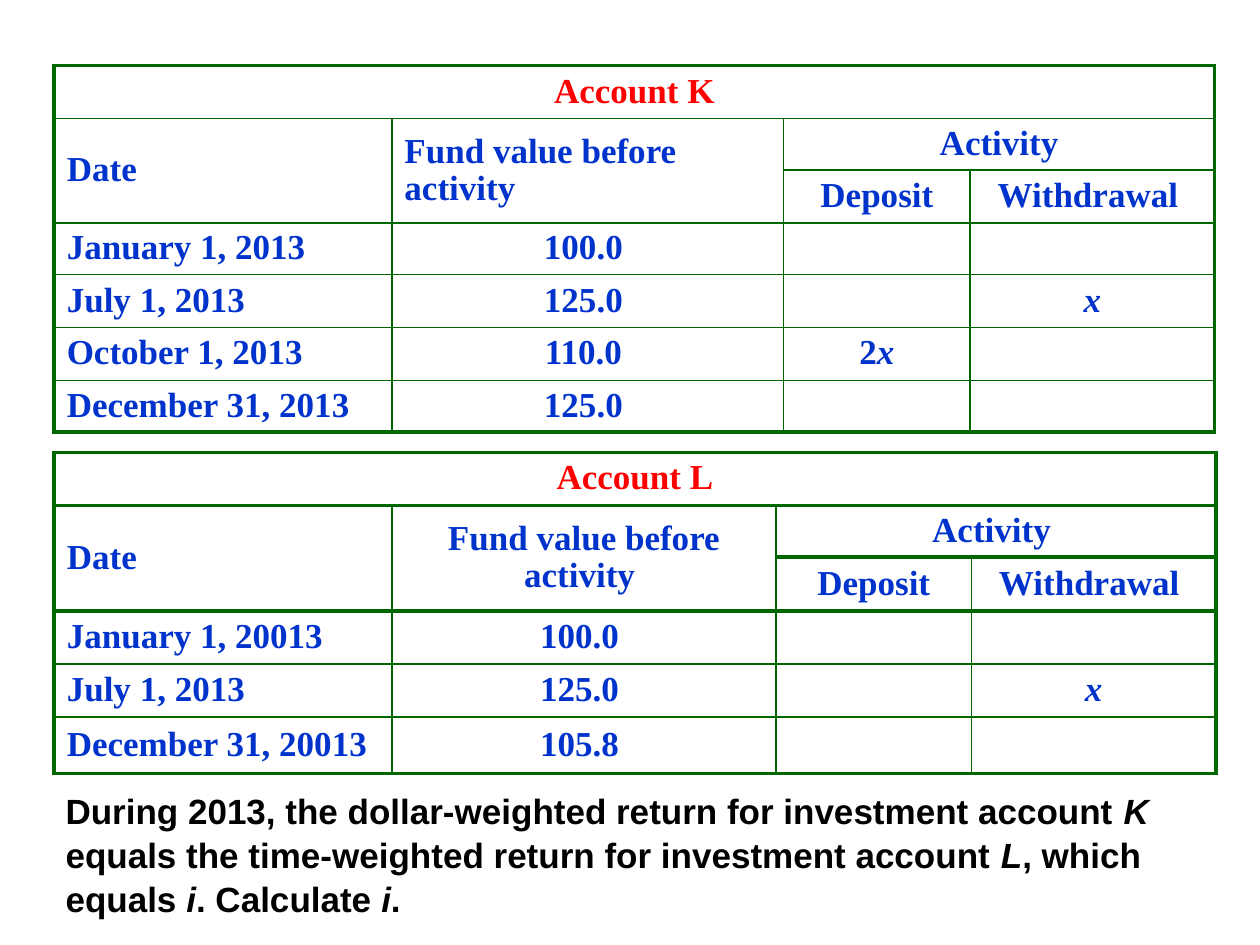
"""Build a slide with two account tables and the question below them."""
from lxml import etree
from pptx import Presentation
from pptx.dml.color import RGBColor
from pptx.enum.text import MSO_ANCHOR, PP_ALIGN
from pptx.oxml.ns import qn
from pptx.util import Inches, Pt

LEFT, MID = PP_ALIGN.LEFT, PP_ALIGN.CENTER
TOP, CENTRE = MSO_ANCHOR.TOP, MSO_ANCHOR.MIDDLE
HUES = {"line": "006600", "head": "FF0000", "cell": "0033CC", "body": "000000"}
THIN, THICK = 1, 2.25
EDGE = 0.43


def write(par, text, face, hue):
    """Add runs, with the parts between underscores in italics."""
    for num, part in enumerate(text.split("_")):
        if part:
            run = par.add_run()
            run.text = part
            font = run.font
            font.name, font.size, font.bold = face, Pt(20), True
            font.italic = num % 2 == 1
            font.color.rgb = RGBColor.from_string(HUES[hue])


def rule(cell, side, width):
    """Draw one border of a cell."""
    line = etree.SubElement(cell._tc.get_or_add_tcPr(), qn("a:ln" + side), w=str(Pt(width)))
    fill = etree.SubElement(line, qn("a:solidFill"))
    etree.SubElement(fill, qn("a:srgbClr"), val=HUES["line"])


deck = Presentation()
deck.slide_width, deck.slide_height = Inches(10), Inches(7.5)
slide = deck.slides.add_slide(deck.slide_layouts[1])
title = slide.shapes.title._element
title.getparent().remove(title)

SPANS = {(0, 0): (1, 4), (1, 0): (2, 1), (1, 1): (2, 1), (1, 2): (1, 2)}
ACCOUNTS = [
    {
        "top": 3.59, "cols": [2.68, 3.05, 1.55, 1.94],
        "rows": [0.42, 0.41, 0.43, 0.42, 0.42, 0.45],
        "heavy": {0, 1, 2, 3, 6}, "fund": MID,
        "grid": [
            ["Account L", "", "", ""],
            ["Date", "Fund value before activity ", "Activity ", ""],
            ["", "", "Deposit", "Withdrawal "],
            ["January 1, 20013", "100.0 ", "", ""],
            ["July 1, 2013", "125.0 ", "", "_x_"],
            ["December 31, 20013", "105.8 ", "", ""],
        ],
    },
    {
        "top": 0.52, "cols": [2.68, 3.11, 1.48, 1.94],
        "rows": [0.42, 0.41, 0.42, 0.41, 0.42, 0.42, 0.41],
        "heavy": {0, 7}, "fund": LEFT,
        "grid": [
            ["Account K", "", "", ""],
            ["Date", "Fund value before activity", "Activity", ""],
            ["", "", "Deposit", "Withdrawal "],
            ["January 1, 2013", "100.0 ", "", ""],
            ["July 1, 2013", "125.0 ", "", "_x_"],
            ["October 1, 2013", "110.0 ", "2_x_", ""],
            ["December 31, 2013", "125.0 ", "", ""],
        ],
    },
]

for acct in ACCOUNTS:
    cols, rows = acct["cols"], acct["rows"]
    table = slide.shapes.add_table(
        len(rows), len(cols), Inches(EDGE), Inches(acct["top"]),
        Inches(sum(cols)), Inches(sum(rows))).table
    table.first_row = table.horz_banding = False
    for col, width in zip(table.columns, cols):
        col.width = Inches(width)
    for row, height in zip(table.rows, rows):
        row.height = Inches(height)
    for (r, c), (h, w) in SPANS.items():
        table.cell(r, c).merge(table.cell(r + h - 1, c + w - 1))

    for r, words in enumerate(acct["grid"]):
        for c, text in enumerate(words):
            cell = table.cell(r, c)
            if cell.is_spanned:
                continue
            h, w = SPANS.get((r, c), (1, 1))
            for y in range(r, r + h):
                for x in range(c, c + w):
                    part = table.cell(y, x)
                    first = (y, x) == (r, c)
                    if first:
                        rule(part, "L", THICK if c == 0 else THIN)
                    if first or x == c + w - 1:
                        rule(part, "R", THICK if c + w == len(cols) else THIN)
                    if first or y == r:
                        rule(part, "T", THICK if r in acct["heavy"] else THIN)
                    if first or y == r + h - 1:
                        rule(part, "B", THICK if r + h in acct["heavy"] else THIN)
                    part.fill.background()
            cell.vertical_anchor = CENTRE
            par = cell.text_frame.paragraphs[0]
            par.line_spacing = 0.95
            par.alignment = LEFT if c == 0 and r else MID
            if (r, c) == (1, 1):
                par.alignment = acct["fund"]
            write(par, text, "Times New Roman", "cell" if r else "head")

body = slide.placeholders[1]
body.left, body.top = Inches(0.04), Inches(6.2)
body.width, body.height = Inches(9.93), Inches(0.98)
box = body.text_frame
box.word_wrap = True
box.vertical_anchor = TOP
par = box.paragraphs[0]
props = par._p.get_or_add_pPr()
props.set("marL", str(Inches(0.38)))
props.set("indent", "0")
etree.SubElement(props, qn("a:buNone"))
par.alignment = LEFT
par.line_spacing = 1.05
par.space_before = Pt(0)
write(par, "During 2013, the dollar-weighted return for investment account _K_ equals "
      "the time-weighted return for investment account _L_, which equals _i_. "
      "Calculate _i_.", "Arial", "body")

deck.save("out.pptx")
